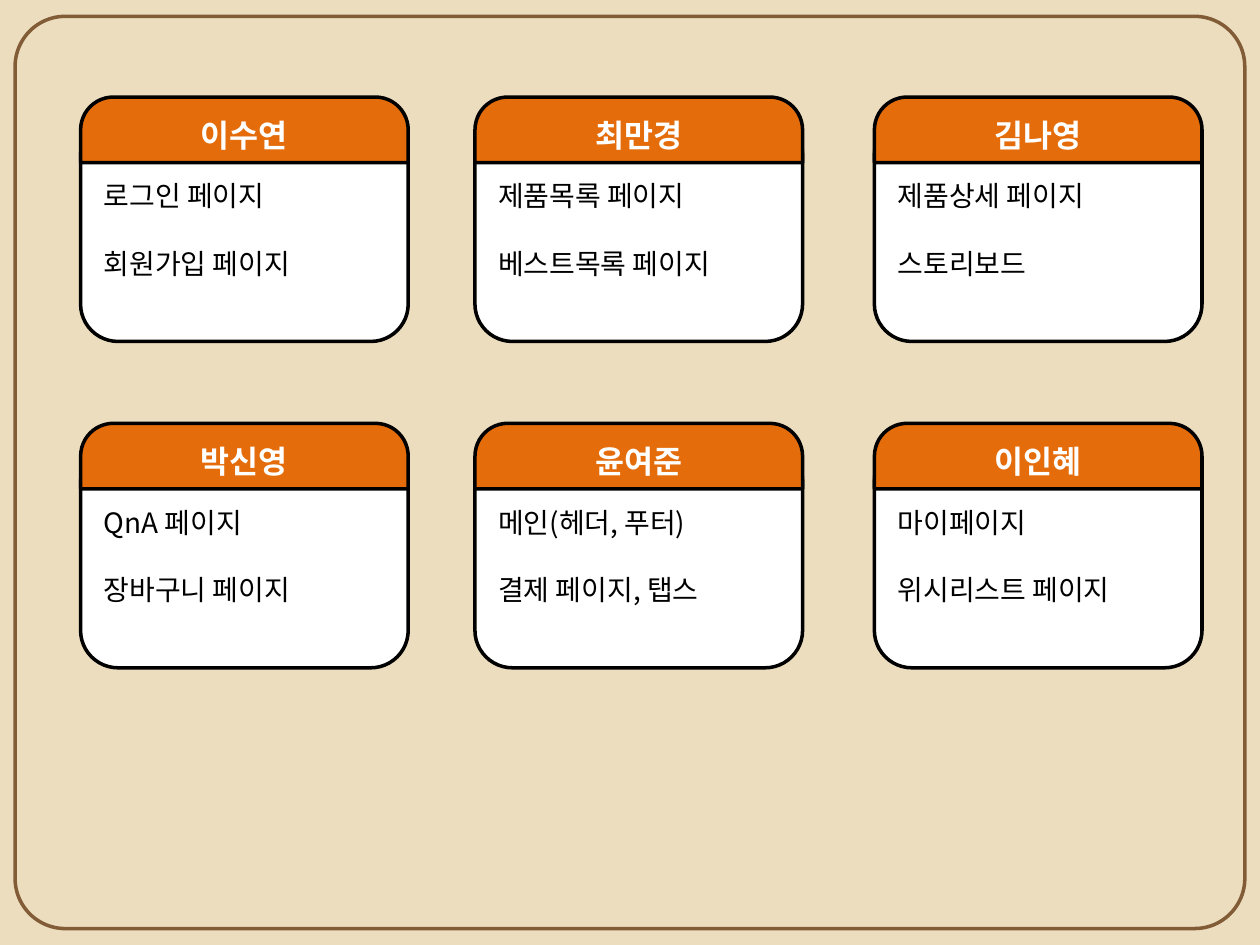
from lxml import etree
from pptx import Presentation
from pptx import util as u
from pptx.dml.color import RGBColor
from pptx.enum import shapes, text
from pptx.oxml.ns import qn

SAND = RGBColor(0xEC, 0xDD, 0xBF)
BROWN = RGBColor(0x81, 0x5C, 0x37)
ORANGE = RGBColor(0xE4, 0x6C, 0x0A)
WHITE = RGBColor(0xFF, 0xFF, 0xFF)
BLACK = RGBColor(0, 0, 0)
FONT = "Noto Sans CJK KR"

# Members in reading order: name and assigned pages
MEMBERS = [
    ("이수연", ["로그인 페이지", "회원가입 페이지"]),
    ("최만경", ["제품목록 페이지", "베스트목록 페이지"]),
    ("김나영", ["제품상세 페이지", "스토리보드"]),
    ("박신영", ["QnA 페이지", "장바구니 페이지"]),
    ("윤여준", ["메인(헤더, 푸터)", "결제 페이지, 탭스"]),
    ("이인혜", ["마이페이지", "위시리스트 페이지"]),
]
COLUMN_LEFTS = [0.64, 3.77, 6.94]
ROW_TOPS = [0.77, 3.36]
CARD_WIDTH, HEADER_HEIGHT, BODY_HEIGHT, BODY_DROP = 2.6, 0.52, 1.78, 0.16


class RoleSlide:
    name_format = {"size": u.Pt(18), "bold": True, "name": FONT}
    task_format = {"size": u.Pt(16), "bold": False, "name": FONT}

    def __init__(self, slide):
        self.slide = slide
        slide.background.fill.solid()
        slide.background.fill.fore_color.rgb = SAND

    def panel(self, parent, kind, box, fill, line, adjustments=()):
        panel = parent.add_shape(kind, *map(u.Inches, box))
        panel.shadow.inherit = False
        if fill is None:
            panel.fill.background()
        else:
            panel.fill.solid()
            panel.fill.fore_color.rgb = fill
        panel.line.color.rgb = line
        panel.line.width = u.Pt(2)
        for index, value in enumerate(adjustments):
            panel.adjustments[index] = value
        return panel

    def label(self, panel, lines, align, color, font_format):
        frame = panel.text_frame
        frame.word_wrap = True
        frame.vertical_anchor = text.MSO_ANCHOR.MIDDLE
        for index, line in enumerate(lines):
            paragraph = frame.add_paragraph() if index else frame.paragraphs[0]
            paragraph.alignment = align
            if index:
                paragraph.line_spacing = 2.0
            run = paragraph.add_run()
            run.text = line
            for key, value in font_format.items():
                setattr(run.font, key, value)
            run.font.color.rgb = color
            # Korean text takes the East Asian typeface
            east_asian = etree.SubElement(run.font._element, qn("a:ea"))
            east_asian.set("typeface", FONT)

    def border(self):
        self.panel(self.slide.shapes, shapes.MSO_SHAPE.ROUNDED_RECTANGLE,
                   (0.12, 0.13, 9.76, 7.24), None, BROWN, [0.055])

    def card(self, left, top, member, tasks):
        card = self.slide.shapes.add_group_shape().shapes
        body = self.panel(card, shapes.MSO_SHAPE.ROUNDED_RECTANGLE,
                          (left, top + BODY_DROP, CARD_WIDTH, BODY_HEIGHT),
                          WHITE, BLACK)
        self.label(body, tasks, text.PP_ALIGN.LEFT, BLACK, self.task_format)
        header = self.panel(card, shapes.MSO_SHAPE.ROUND_2_SAME_RECTANGLE,
                            (left, top, CARD_WIDTH, HEADER_HEIGHT),
                            ORANGE, BLACK, [0.5, 0])
        self.label(header, [member], text.PP_ALIGN.CENTER, WHITE, self.name_format)


def main():
    deck = Presentation()
    deck.slide_width, deck.slide_height = u.Inches(10), u.Inches(7.5)
    roles = RoleSlide(deck.slides.add_slide(deck.slide_layouts[6]))

    # Border around the slide
    roles.border()

    # Member cards, three to a row
    for index, (member, tasks) in enumerate(MEMBERS):
        row, column = divmod(index, len(COLUMN_LEFTS))
        roles.card(COLUMN_LEFTS[column], ROW_TOPS[row], member, tasks)

    deck.save("out.pptx")


if __name__ == "__main__":
    main()
